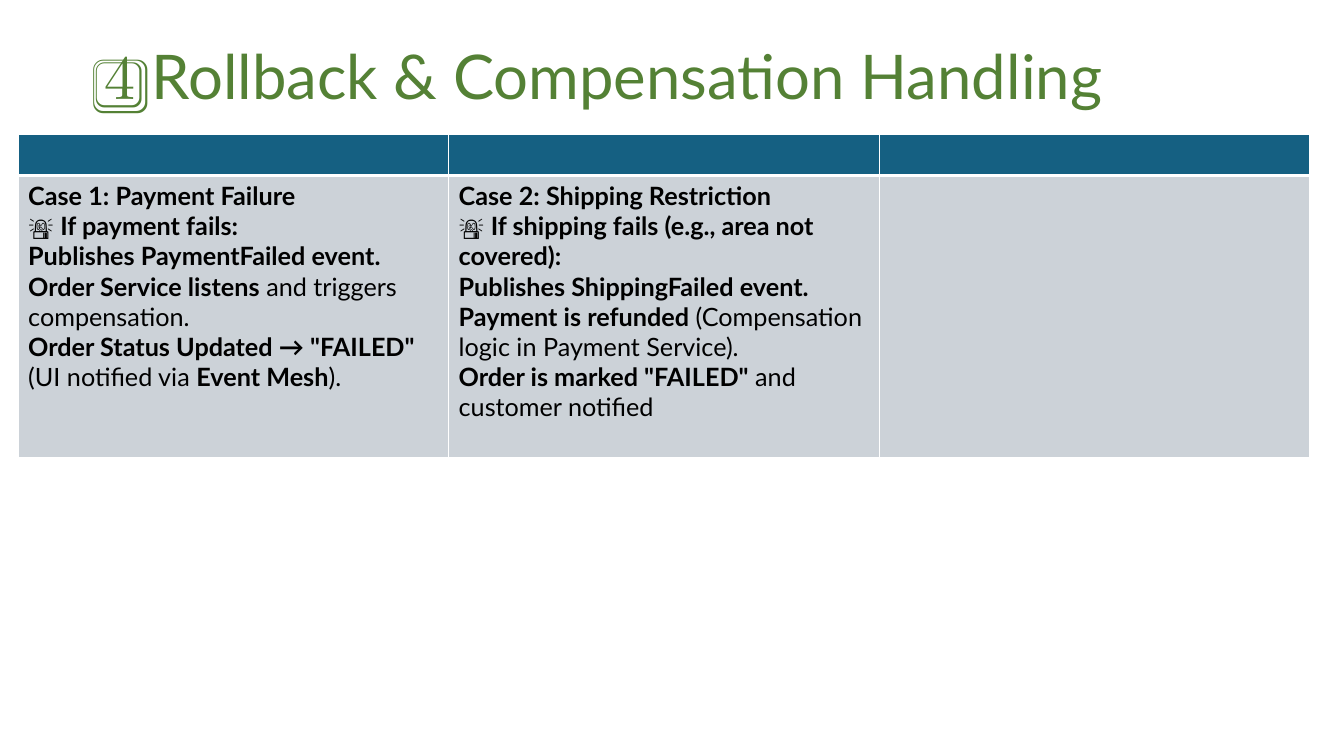
from dataclasses import dataclass

from lxml import etree
from pptx import Presentation
from pptx.dml.color import RGBColor
from pptx.enum.text import MSO_ANCHOR
from pptx.oxml.ns import qn
from pptx.util import Inches, Pt

MIDDLE = MSO_ANCHOR.MIDDLE

FONT = "Lato"
GREEN, BLUE, GREY = "548135", "156082", "CCD2D8"
BLACK, WHITE = "000000", "FFFFFF"
HEADER_HEIGHT, BODY_HEIGHT = 0.41, 2.8
COLUMN_WIDTH, COLUMN_COUNT = 4.27, 3
THIN, THICK = 1, 3


@dataclass
class Span:
    text: str
    bold: bool = True


@dataclass
class Case:
    steps: list[list[Span]]


CASES = [
    Case([
        [Span("Case 1: Payment Failure")],
        [Span("🚨 ", False), Span("If payment fails:")],
        [Span("Publishes PaymentFailed event.")],
        [Span("Order Service listens"), Span(" and triggers compensation.", False)],
        [Span('Order Status Updated → "FAILED"'), Span(" (UI notified via ", False),
         Span("Event Mesh"), Span(").", False)],
    ]),
    Case([
        [Span("Case 2: Shipping Restriction")],
        [Span("🚨 ", False), Span("If shipping fails (e.g., area not covered):")],
        [Span("Publishes ShippingFailed event.")],
        [Span("Payment is refunded"),
         Span(" (Compensation logic in Payment Service).", False)],
        [Span('Order is marked "FAILED"'), Span(" and customer notified", False)],
    ]),
]


def color(value: str) -> RGBColor:
    return RGBColor.from_string(value)


def set_font(paragraph, size: float, value: str) -> None:
    paragraph.font.name = FONT
    paragraph.font.size = Pt(size)
    paragraph.font.color.rgb = color(value)


def style_cell(cell, fill: str, top: float, bottom: float) -> None:
    """Give a cell white borders and a solid fill."""
    properties = cell._tc.get_or_add_tcPr()
    for side, width in (("L", THIN), ("R", THIN), ("T", top), ("B", bottom)):
        border = etree.SubElement(properties, qn(f"a:ln{side}"), w=str(Pt(width)))
        line_fill = etree.SubElement(border, qn("a:solidFill"))
        etree.SubElement(line_fill, qn("a:srgbClr"), val=WHITE)
    cell.fill.solid()
    cell.fill.fore_color.rgb = color(fill)


def write_case(cell, case: Case) -> None:
    frame = cell.text_frame
    for index, step in enumerate(case.steps):
        paragraph = frame.add_paragraph() if index else frame.paragraphs[0]
        set_font(paragraph, 18, BLACK)
        for span in step:
            run = paragraph.add_run()
            run.text = span.text
            run.font.bold = span.bold


def add_title(slide) -> None:
    title = slide.shapes.add_textbox(
        Inches(0.92), Inches(0.25), Inches(11.5), Inches(1.08))
    frame = title.text_frame
    frame.word_wrap = True
    frame.vertical_anchor = MIDDLE
    frame.margin_left = frame.margin_right = Inches(0.12)
    frame.margin_top = frame.margin_bottom = Inches(0.06)
    heading = frame.paragraphs[0]
    heading.text = "4️⃣ Rollback & Compensation Handling"
    heading.line_spacing = 0.9
    set_font(heading, 44, GREEN)


def add_case_table(slide) -> None:
    table = slide.shapes.add_table(
        2, COLUMN_COUNT, Inches(0.18), Inches(1.33),
        Inches(COLUMN_WIDTH * COLUMN_COUNT),
        Inches(HEADER_HEIGHT + BODY_HEIGHT)).table
    header, body = table.rows
    header.height, body.height = Inches(HEADER_HEIGHT), Inches(BODY_HEIGHT)
    for cell in header.cells:
        style_cell(cell, BLUE, THIN, THICK)
    for cell in body.cells:
        style_cell(cell, GREY, THICK, THIN)
    for cell, case in zip(body.cells, CASES):
        write_case(cell, case)


def main() -> None:
    deck = Presentation()
    deck.slide_width, deck.slide_height = Inches(13.33), Inches(7.5)
    slide = deck.slides.add_slide(deck.slide_layouts[6])
    add_title(slide)
    add_case_table(slide)
    deck.save("out.pptx")


if __name__ == "__main__":
    main()
